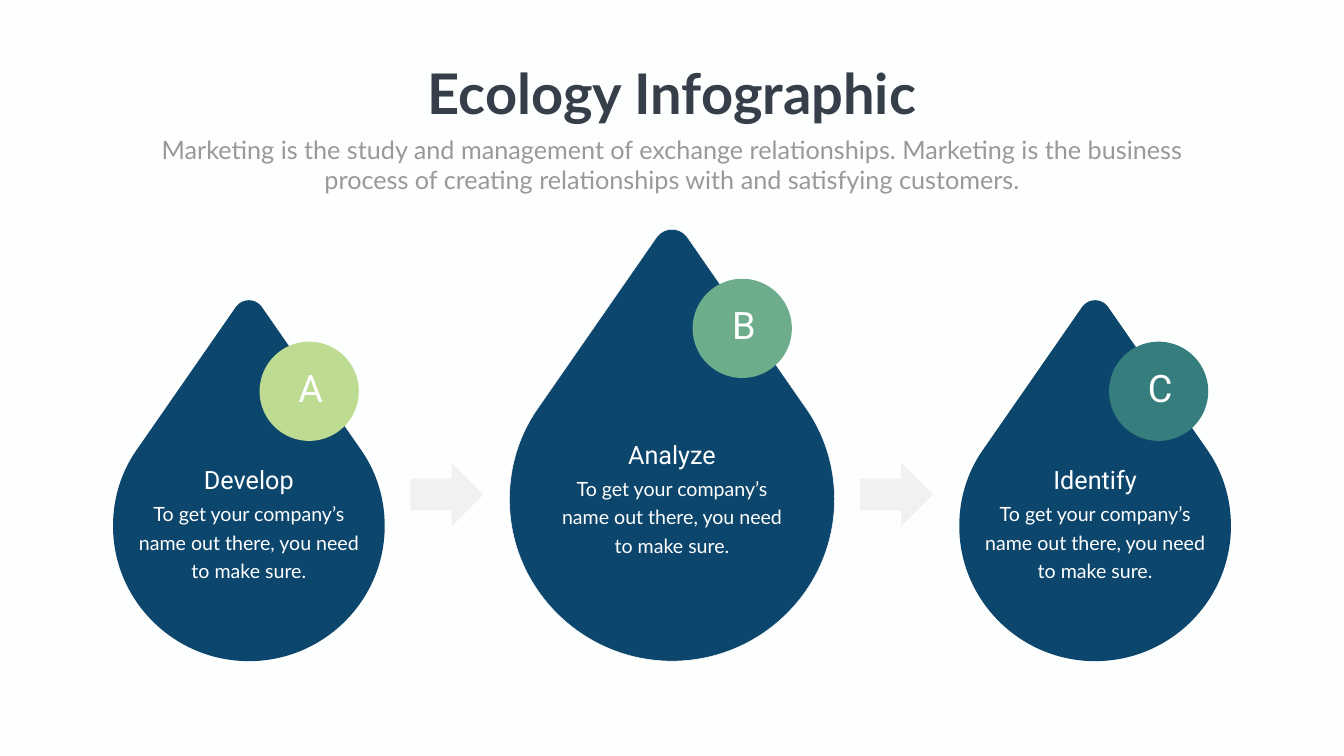
from lxml.etree import SubElement
from pptx import Presentation
from pptx.dml.color import RGBColor
from pptx.enum.shapes import MSO_SHAPE
from pptx.enum.text import PP_ALIGN
from pptx.oxml.ns import qn
from pptx.util import Cm, Pt

PAPER = RGBColor(0xFD, 0xFF, 0xFE)
WHITE = RGBColor(0xFF, 0xFF, 0xFF)
NAVY = RGBColor(0x0D, 0x46, 0x6C)
LIME = RGBColor(0xBD, 0xDB, 0x91)
GREEN = RGBColor(0x6D, 0xAD, 0x8B)
TEAL = RGBColor(0x36, 0x7E, 0x7D)
SLATE = RGBColor(0x35, 0x3E, 0x49)
SILVER = RGBColor(0x98, 0x99, 0x98)
GRAY = RGBColor(0x80, 0x80, 0x80)

WIDTH, HEIGHT = 67.72, 38.1
TITLE = "Ecology Infographic"
SUBTITLE = (
    "Marketing is the study and management of exchange relationships. "
    "Marketing is the business process of creating relationships with "
    "and satisfying customers."
)
BODY = "To get your company’s name out there, you need to make sure."

STEPS = [
    dict(letter="A", heading="Develop", color=LIME, drop_width=13.69,
         outline=None, badge=(13.08, 17.22), text_top=23.27),
    dict(letter="B", heading="Analyze", color=GREEN, drop_width=16.38,
         outline=WHITE, badge=(34.9, 14.05), text_top=22),
    dict(letter="C", heading="Identify", color=TEAL, drop_width=13.69,
         outline=None, badge=(55.88, 17.22), text_top=23.27),
]
STEP_GAP = 21.32
DROP_BOTTOM = 33.32
BADGE_SIZE = 5
TEXT_WIDTH = 12.19
ARROW_LEFTS = [20.68, 43.33]

UNIT_WIDTH = 16.38
START = (6.88, 12.57)
LEFT_HALF = [(-7.72, 11.3), (-8.19, 9.78), (-8.19, 8.15),
             (-8.19, 3.65), (-4.5, 0), (0, 0)]
RIGHT_HALF = [(-x, y) for x, y in reversed(LEFT_HALF[:-1])] + [START]
SEGMENTS = [
    [(0.76, 21.39)],
    [(0.38, 21.89), (-0.38, 21.89), (-0.76, 21.39)],
    [(-6.88, 12.57)],
    LEFT_HALF[:3],
    LEFT_HALF[3:],
    RIGHT_HALF[:3],
    RIGHT_HALF[3:],
]


def paint(shape, color, outline=None):
    shape.shadow.inherit = False
    shape.fill.solid()
    shape.fill.fore_color.rgb = color
    if outline is None:
        shape.line.fill.background()
    else:
        shape.line.color.rgb = outline
        shape.line.width = Pt(0.75)


def bend_segments(shape):
    lines = iter(list(shape.element.iter(qn("a:lnTo"))))
    for segment in SEGMENTS:
        group = [next(lines) for _ in segment]
        if len(group) == 3:
            curve = group[0]
            curve.tag = qn("a:cubicBezTo")
            for line in group[1:]:
                curve.append(line[0])
                line.getparent().remove(line)


def add_drop(slide, center, step):
    scale = step["drop_width"] / UNIT_WIDTH
    corners = [START] + [point for segment in SEGMENTS for point in segment]
    points = [(Cm(center + x * scale), Cm(DROP_BOTTOM - y * scale))
              for x, y in corners]
    builder = slide.shapes.build_freeform(*points[0], scale=1.0)
    builder.add_line_segments(points[1:], close=True)
    drop = builder.convert_to_shape()
    bend_segments(drop)
    paint(drop, NAVY, step["outline"])


def add_preset(slide, preset, left, top, width, height, color):
    shape = slide.shapes.add_shape(preset, Cm(left), Cm(top), Cm(width), Cm(height))
    paint(shape, color)
    return shape


def add_text(slide, text, *, left, top, width, height, size, font, color=WHITE,
             bold=False, spacing=None, wrap=True):
    box = slide.shapes.add_textbox(Cm(left), Cm(top), Cm(width), Cm(height))
    box.text_frame.word_wrap = wrap
    para = box.text_frame.paragraphs[0]
    para.alignment = PP_ALIGN.CENTER
    if spacing:
        para.line_spacing = Pt(spacing)
    span = para.add_run()
    span.text = text
    span.font.size = Pt(size)
    span.font.name = font
    span.font.bold = bold
    span.font.color.rgb = color


def add_step(slide, step, center):
    add_drop(slide, center, step)
    left, top = step["badge"]
    add_preset(slide, MSO_SHAPE.OVAL, left, top, BADGE_SIZE, BADGE_SIZE, step["color"])
    add_text(slide, step["letter"], left=left + 1.07, top=top + 1.04,
             width=3.02, height=2.57, size=54, font="Roboto")
    text_left = center - TEXT_WIDTH / 2
    add_text(slide, BODY, left=text_left, top=step["text_top"] + 1.65,
             width=TEXT_WIDTH, height=4.5, size=28, font="Lato", spacing=40.8)
    add_text(slide, step["heading"], left=text_left, top=step["text_top"],
             width=TEXT_WIDTH, height=1.8, size=36, font="Roboto")


def add_arrow(slide, left):
    arrow = add_preset(slide, MSO_SHAPE.RIGHT_ARROW, left, 23.32, 3.68, 3.2, GRAY)
    color = arrow.element.spPr.find(qn("a:solidFill"))[0]
    SubElement(color, qn("a:alpha")).set("val", "10000")


def main():
    deck = Presentation()
    deck.slide_width, deck.slide_height = Cm(WIDTH), Cm(HEIGHT)
    slide = deck.slides.add_slide(deck.slide_layouts[6])
    slide.background.fill.solid()
    slide.background.fill.fore_color.rgb = PAPER

    for index, step in enumerate(STEPS):
        add_step(slide, step, WIDTH / 2 + (index - 1) * STEP_GAP)
    for left in ARROW_LEFTS:
        add_arrow(slide, left)

    add_text(slide, TITLE, left=21.02, top=2.84, width=25.68, height=3.68,
             size=80, font="Lato", color=SLATE, bold=True, wrap=False)
    add_text(slide, SUBTITLE, left=7.42, top=6.63, width=52.88, height=3.33,
             size=36, font="Lato", color=SILVER)
    deck.save("out.pptx")


if __name__ == "__main__":
    main()
